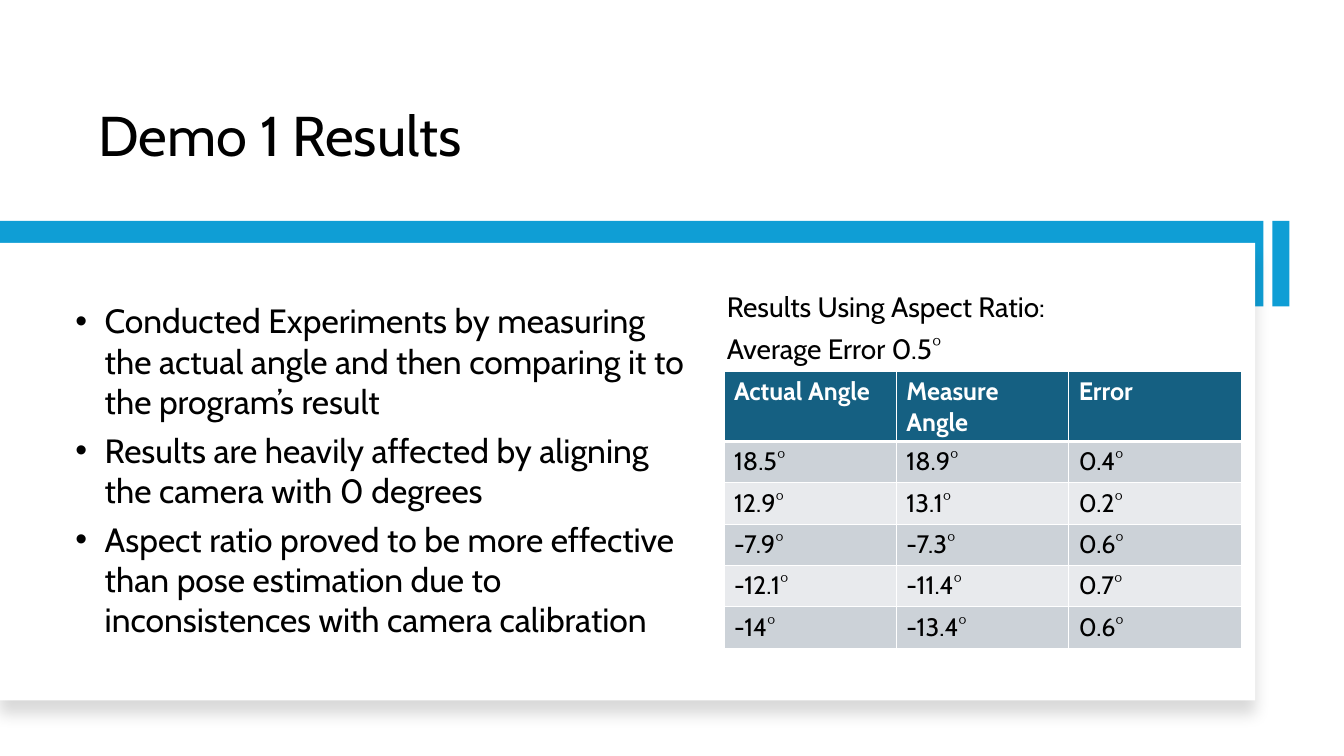
from lxml.etree import SubElement
from pptx import Presentation
from pptx.dml.color import RGBColor
from pptx.enum.shapes import MSO_SHAPE as Shape
from pptx.enum.text import MSO_ANCHOR as Anchor
from pptx.oxml import parse_xml
from pptx.oxml.ns import nsdecls, qn
from pptx.util import Inches, Pt

BLUE = RGBColor(0x0F, 0x9E, 0xD5)
NAVY = RGBColor(0x15, 0x60, 0x82)
DARK_BAND = RGBColor(0xCC, 0xD2, 0xD8)
LIGHT_BAND = RGBColor(0xE8, 0xEA, 0xED)
WHITE = RGBColor(0xFF, 0xFF, 0xFF)
BLACK = RGBColor(0, 0, 0)


def write(paragraph, text, size, color=BLACK, bold=False):
    run = paragraph.add_run()
    run.text = text
    run.font.color.rgb = color
    for attribute, value in {"name": "Cabin", "size": Pt(size), "bold": bold}.items():
        setattr(run.font, attribute, value)


def add_text(box, lines, size, **paragraph_format):
    frame = slide.shapes.add_textbox(*map(Inches, box)).text_frame
    frame.word_wrap = True
    for index, line in enumerate(lines):
        paragraph = frame.paragraphs[0] if index == 0 else frame.add_paragraph()
        for attribute, value in paragraph_format.items():
            setattr(paragraph, attribute, value)
        write(paragraph, line, size)
    return frame


prs = Presentation()
prs.slide_width, prs.slide_height = Inches(13.33), Inches(7.5)
slide = prs.slides.add_slide(prs.slide_layouts[6])

# Title
title = add_text((0.88, 0.42, 10.1, 1.3), ["Demo 1 Results"], 40, line_spacing=0.9)
title.vertical_anchor = Anchor.BOTTOM

# Blue bars, then the white panel over them
for box, color in [
    ((12.62, 2.19, 0.17, 0.85), BLUE),
    ((0, 2.19, 12.53, 0.85), BLUE),
    ((0, 2.41, 12.45, 4.54), WHITE),
]:
    panel = slide.shapes.add_shape(Shape.RECTANGLE, *map(Inches, box))
    panel.shadow.inherit = False
    panel.fill.solid()
    panel.fill.fore_color.rgb = color
    panel.line.fill.background()

# Soft shadow below the panel
effects = panel._element.spPr.find(qn("a:effectLst"))
effects.append(parse_xml(
    f'<a:outerShdw {nsdecls("a")} blurRad="{Pt(11)}" dist="{Pt(10)}" dir="5400000" '
    'algn="t" rotWithShape="0"><a:srgbClr val="000000"><a:alpha val="15000"/>'
    '</a:srgbClr></a:outerShdw>'))

# Table of angles
results = [
    ("Actual Angle", "Measure Angle", "Error"),
    ("18.5°", "18.9°", "0.4°"),
    ("12.9°", "13.1°", "0.2°"),
    ("-7.9°", "-7.3°", "0.6°"),
    ("-12.1°", "-11.4°", "0.7°"),
    ("-14°", "-13.4°", "0.6°"),
]
angles = slide.shapes.add_table(
    len(results), 3, Inches(7.18), Inches(3.68), Inches(5.12), Inches(2.73)).table
for column in angles.columns:
    column.width = Inches(1.71)
for row_index, values in enumerate(results):
    header = row_index == 0
    angles.rows[row_index].height = Inches(0.68 if header else 0.41)
    band = NAVY if header else DARK_BAND if row_index % 2 else LIGHT_BAND
    for column_index, value in enumerate(values):
        cell = angles.cell(row_index, column_index)
        write(cell.text_frame.paragraphs[0], value, 18, WHITE if header else BLACK, header)
        # Borders come before the fill in the cell properties
        borders = {"L": 1, "R": 1, "T": 3 if row_index == 1 else 1, "B": 3 if header else 1}
        for side, width in borders.items():
            border = SubElement(cell._tc.get_or_add_tcPr(), qn(f"a:ln{side}"), w=str(Pt(width)))
            SubElement(SubElement(border, qn("a:solidFill")), qn("a:srgbClr"), val=str(WHITE))
        cell.fill.solid()
        cell.fill.fore_color.rgb = band

# Table caption
add_text((7.11, 2.82, 3.88, 0.86),
         ["Results Using Aspect Ratio:", "Average Error 0.5°"], 20, space_after=Pt(6))

# Findings
findings = add_text((0.65, 2.93, 6.38, 3.99), [
    "Conducted Experiments by measuring the actual angle and then comparing it to "
    "the program’s result",
    "Results are heavily affected by aligning the camera with 0 degrees",
    "Aspect ratio proved to be more effective than pose estimation due to "
    "inconsistences with camera calibration",
], 24, space_after=Pt(6))
for finding in findings.paragraphs:
    properties = finding._p.get_or_add_pPr()
    properties.set("marL", str(Inches(0.29)))
    properties.set("indent", str(-Inches(0.29)))
    SubElement(properties, qn("a:buFont"), typeface="Arial")
    SubElement(properties, qn("a:buChar"), char="•")

prs.save("out.pptx")
